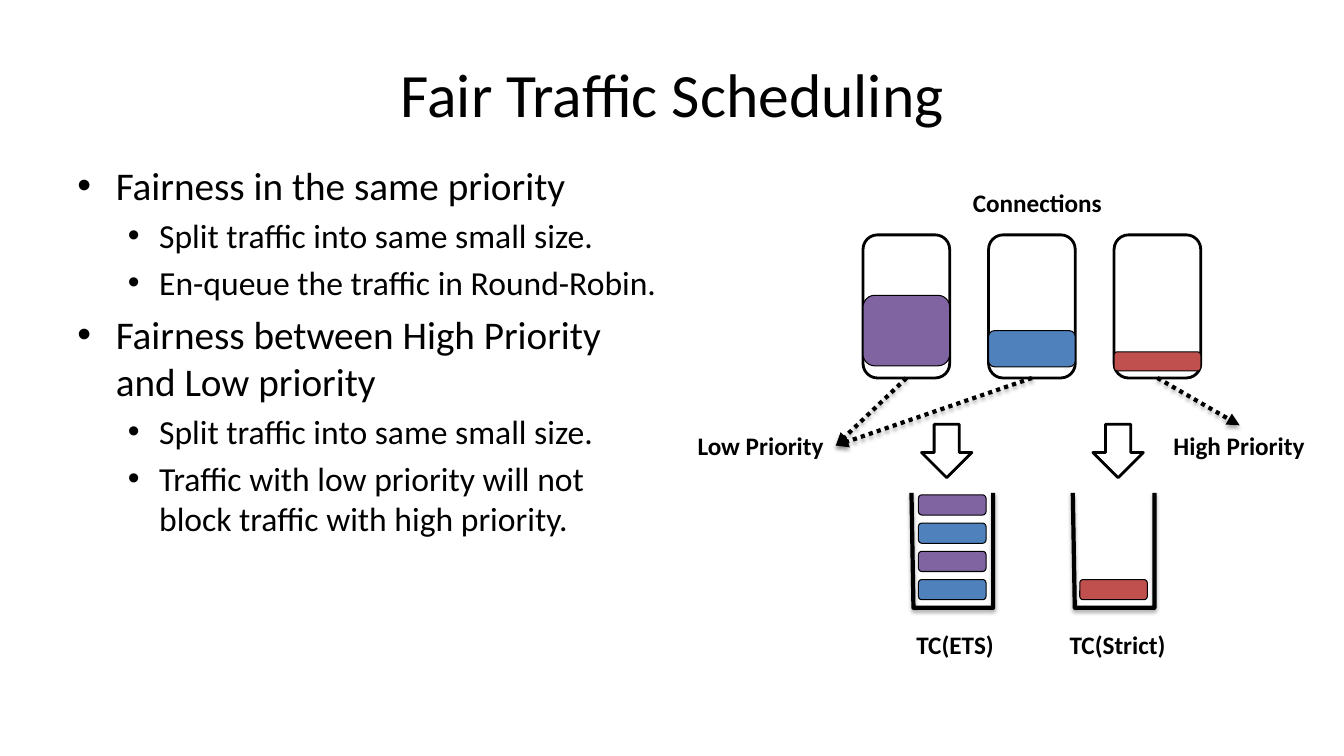
from dataclasses import dataclass

from pptx import Presentation
from pptx import util as u
from pptx.dml.color import RGBColor
from pptx.enum import dml, shapes, text
from pptx.oxml import parse_xml
from pptx.oxml.ns import nsdecls


@dataclass(frozen=True)
class Theme:
    font: str = "Calibri"
    ink: str = "000000"
    paper: str = "FFFFFF"
    purple: str = "8064A2"
    blue: str = "4F81BD"
    red: str = "C0504D"
    title_size: int = 44
    bullet_sizes: tuple = (28, 24)
    label_size: int = 18
    thin: float = 0.75
    outline: float = 2
    heavy: float = 3


class SlideBuilder:
    def __init__(self, slide, theme):
        self.slide = slide
        self.theme = theme

    def textbox(self, left, top, width, height):
        box = self.slide.shapes.add_textbox(*map(u.Inches, (left, top, width, height)))
        box.text_frame.word_wrap = True
        return box

    def style_text(self, paragraph, size, bold=False):
        for run in paragraph.runs:
            run.font.name = self.theme.font
            run.font.size = u.Pt(size)
            run.font.bold = bold
            run.font.color.rgb = RGBColor.from_string(self.theme.ink)

    def title(self, words, left, top, width, height):
        frame = self.textbox(left, top, width, height).text_frame
        frame.vertical_anchor = text.MSO_ANCHOR.MIDDLE
        frame.text = words
        frame.paragraphs[0].alignment = text.PP_ALIGN.CENTER
        self.style_text(frame.paragraphs[0], self.theme.title_size)

    def bullets(self, items, left, top, width, height):
        frame = self.textbox(left, top, width, height).text_frame
        indents = ((0.38, -0.38), (0.81, -0.31))
        for index, (level, words) in enumerate(items):
            paragraph = frame.add_paragraph() if index else frame.paragraphs[0]
            paragraph.text = words
            paragraph.level = level
            size = self.theme.bullet_sizes[level]
            paragraph.space_before = u.Pt(size * 0.2)
            self.style_text(paragraph, size)
            properties = paragraph._p.get_or_add_pPr()
            margin, hanging = indents[level]
            properties.set("marL", str(u.Inches(margin)))
            properties.set("indent", str(u.Inches(hanging)))
            properties.append(parse_xml(f'<a:buFont {nsdecls("a")} typeface="Arial"/>'))
            properties.append(parse_xml(f'<a:buChar {nsdecls("a")} char="•"/>'))

    def label(self, words, left, top, width):
        box = self.textbox(left, top, width, 0.4)
        frame = box.text_frame
        frame.word_wrap = False
        frame.auto_size = text.MSO_AUTO_SIZE.SHAPE_TO_FIT_TEXT
        frame.text = words
        self.style_text(frame.paragraphs[0], self.theme.label_size, bold=True)
        return box

    def block(self, kind, left, top, width, height, fill, line_width):
        shape = self.slide.shapes.add_shape(
            kind, *map(u.Inches, (left, top, width, height)))
        shape.shadow.inherit = False
        shape.fill.solid()
        shape.fill.fore_color.rgb = RGBColor.from_string(fill)
        self.style_line(shape, line_width)
        return shape

    def rounded(self, left, top, width, height, fill, line_width):
        kind = shapes.MSO_SHAPE.ROUNDED_RECTANGLE
        return self.block(kind, left, top, width, height, fill, line_width)

    def down_arrow(self, left, top):
        self.block(shapes.MSO_SHAPE.DOWN_ARROW, left, top, 0.5, 0.53,
                   self.theme.paper, self.theme.outline)

    def style_line(self, shape, width):
        shape.line.color.rgb = RGBColor.from_string(self.theme.ink)
        shape.line.width = u.Pt(width)

    def cast_shadow(self, shape):
        shape._element.spPr.append(parse_xml(
            f'<a:effectLst {nsdecls("a")}>'
            f'<a:outerShdw blurRad="{u.Pt(3.1)}" dist="{u.Pt(1.8)}" dir="5400000"'
            f' rotWithShape="0"><a:srgbClr val="{self.theme.ink}">'
            '<a:alpha val="35000"/></a:srgbClr></a:outerShdw></a:effectLst>'))

    def queue(self, left, top):
        outline = [(0, 0), (0.02, 1.14), (0.81, 1.14), (0.81, 0)]
        points = [(u.Inches(left + x), u.Inches(top + y)) for x, y in outline]
        builder = self.slide.shapes.build_freeform(*points[0])
        builder.add_line_segments(points[1:], close=False)
        shape = builder.convert_to_shape()
        shape.fill.background()
        self.style_line(shape, self.theme.heavy)
        self.cast_shadow(shape)

    def dotted_arrow(self, source, target, target_side):
        connector = self.slide.shapes.add_connector(
            shapes.MSO_CONNECTOR.STRAIGHT, 0, 0, 0, 0)
        connector.begin_connect(source, 2)
        connector.end_connect(target, target_side)
        self.style_line(connector, self.theme.heavy)
        connector.line.dash_style = dml.MSO_LINE.ROUND_DOT
        connector.line._get_or_add_ln().append(
            parse_xml(f'<a:tailEnd {nsdecls("a")} type="triangle"/>'))
        self.cast_shadow(connector)


def main():
    presentation = Presentation()
    presentation.slide_width = u.Inches(13.33)
    presentation.slide_height = u.Inches(7.5)
    theme = Theme()
    builder = SlideBuilder(
        presentation.slides.add_slide(presentation.slide_layouts[6]), theme)

    builder.title("Fair Traffic Scheduling", 0.67, 0.3, 12, 1.25)
    builder.bullets([
        (0, "Fairness in the same priority"),
        (1, "Split traffic into same small size."),
        (1, "En-queue the traffic in Round-Robin."),
        (0, "Fairness between High Priority and Low priority"),
        (1, "Split traffic into same small size."),
        (1, "Traffic with low priority will not block traffic with high priority."),
    ], 0.67, 1.55, 6.01, 5.15)

    builder.label("Connections", 9.55, 1.81, 1.49)
    low_priority = builder.label("Low Priority", 6.82, 4.22, 1.47)
    high_priority = builder.label("High Priority", 11.54, 4.22, 1.51)
    builder.label("TC(ETS)", 8.99, 6.19, 0.97)
    builder.label("TC(Strict)", 10.51, 6.19, 1.16)

    connections = [
        (theme.purple, 2.93, 0.7, low_priority, 3),
        (theme.blue, 3.28, 0.36, low_priority, 3),
        (theme.red, 3.49, 0.19, high_priority, 0),
    ]
    for index, (color, top, height, target, side) in enumerate(connections):
        left = 8.56 + 1.245 * index
        connection = builder.rounded(left, 2.33, 0.86, 1.42, theme.paper, theme.outline)
        builder.rounded(left, top, 0.86, height, color, theme.thin)
        builder.dotted_arrow(connection, target, side)

    queues = [
        (9.04, 9.14, [theme.blue, theme.purple, theme.blue, theme.purple]),
        (10.64, 10.84, [theme.red]),
    ]
    for left, arrow_left, colors in queues:
        builder.down_arrow(arrow_left, 4.21)
        builder.queue(left, 4.89)
        for index, color in enumerate(colors):
            builder.rounded(left + 0.07, 5.75 - 0.28 * index, 0.67, 0.2, color, theme.thin)

    presentation.save("out.pptx")


if __name__ == "__main__":
    main()
